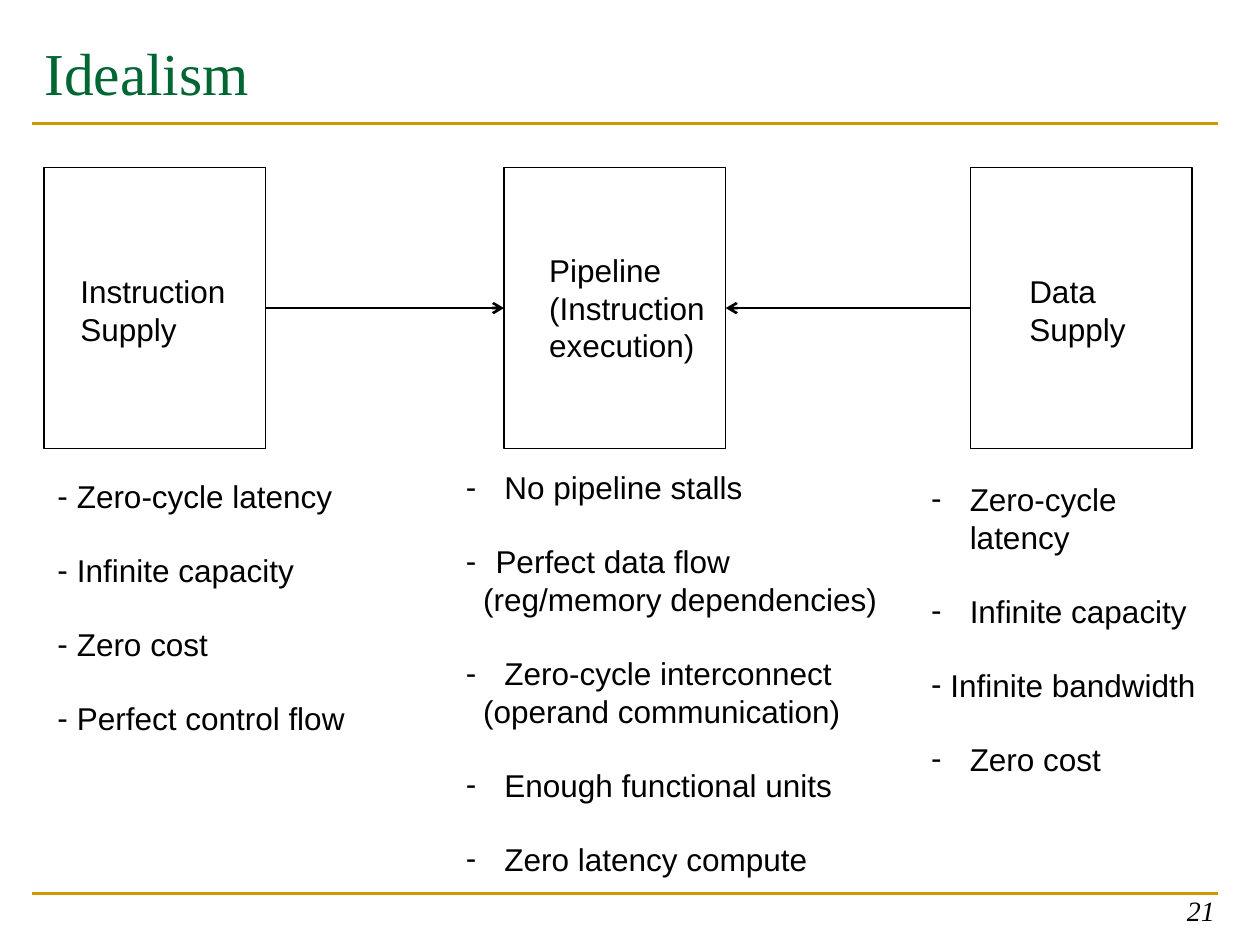
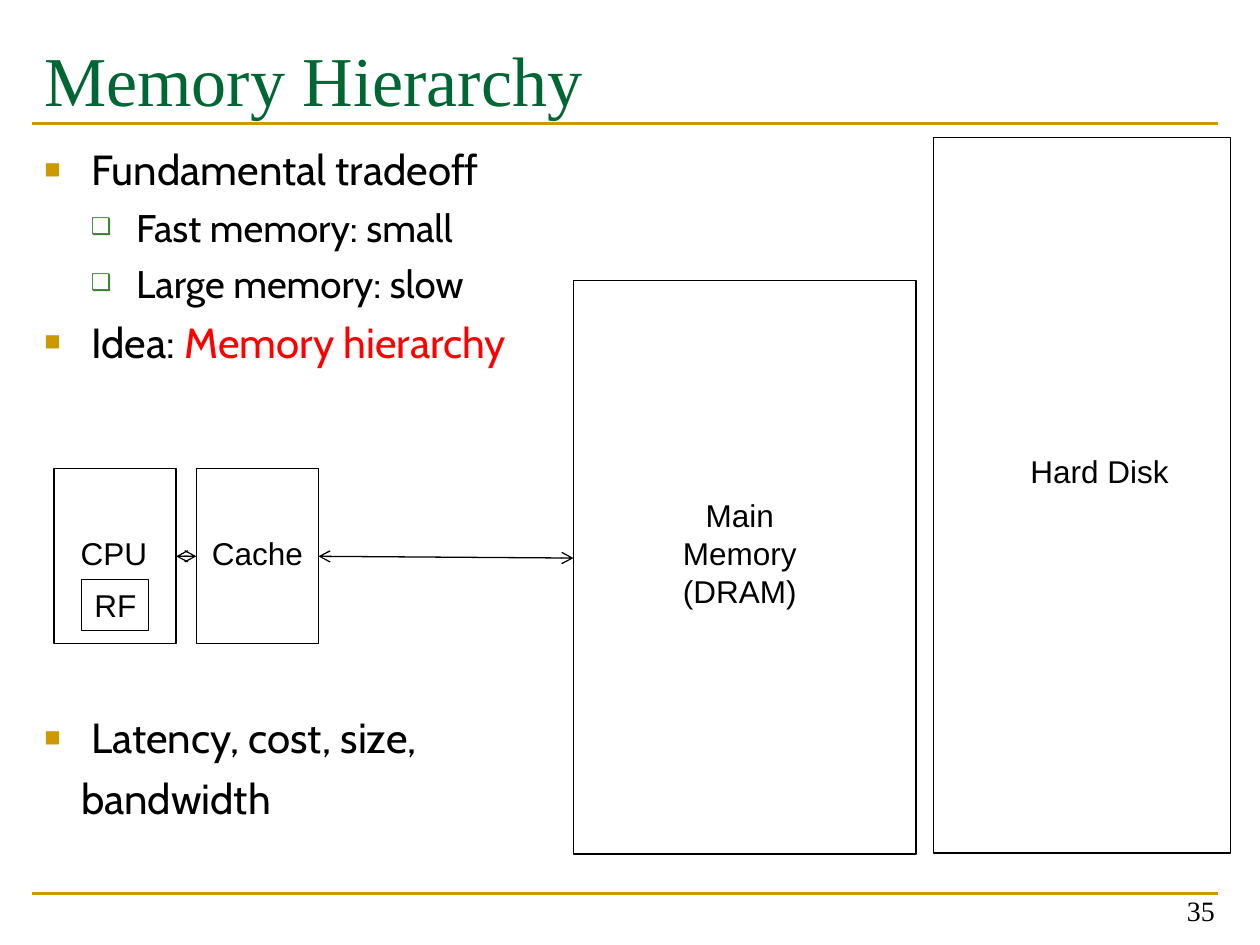
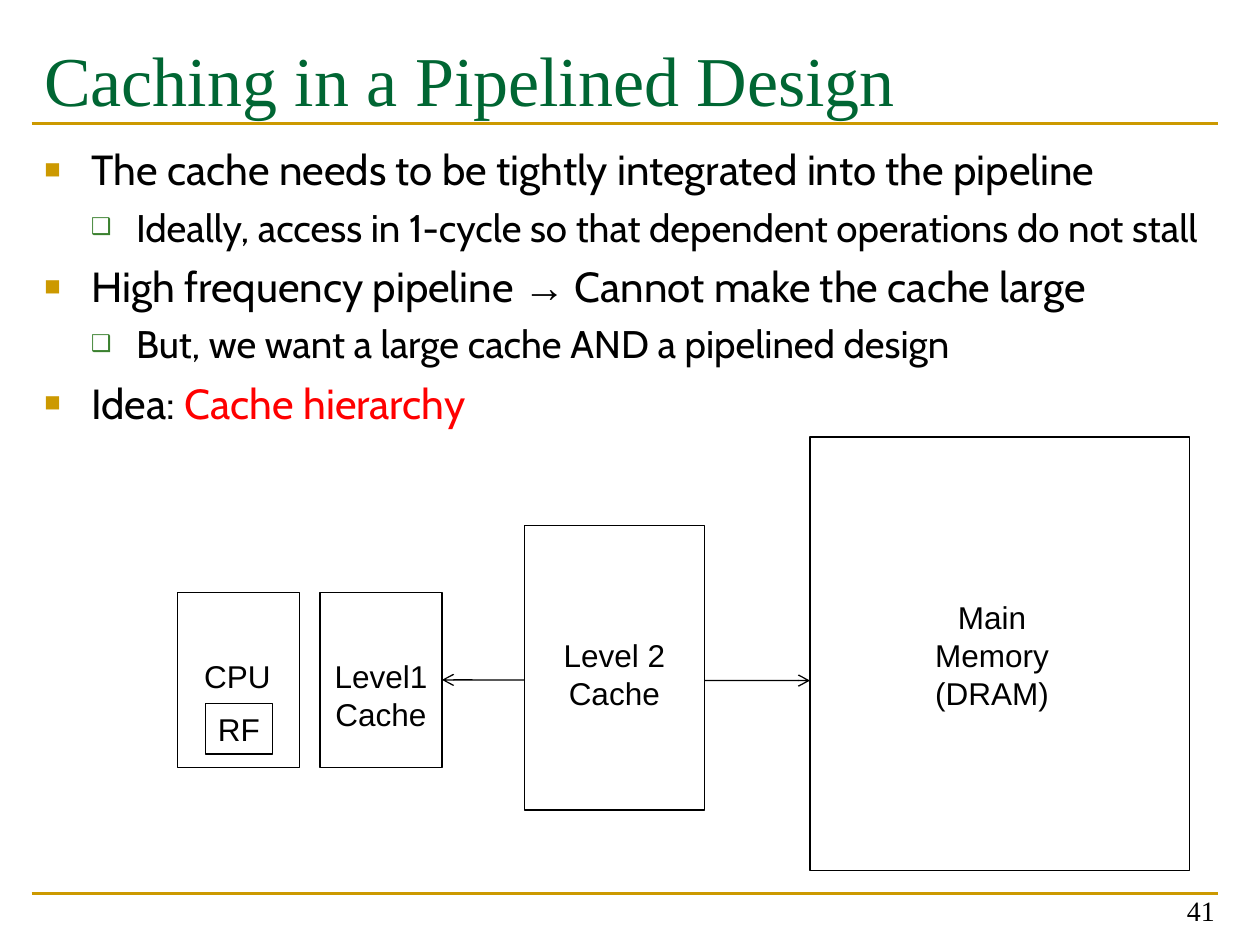
import collections

import pptx
import pptx.dml.color
import pptx.enum.shapes
import pptx.enum.text
import pptx.oxml
import pptx.oxml.ns
import pptx.util

Cm = pptx.util.Cm
Pt = pptx.util.Pt
Align = pptx.enum.text.PP_ALIGN
Anchor = pptx.enum.text.MSO_ANCHOR
Box = collections.namedtuple("Box", "left top width height")
Bullet = collections.namedtuple("Bullet", "character color percent")
Level = collections.namedtuple("Level", "size before margin hanging bullet")

COLORS = {
    "title": "006633",
    "rule": "CC9900",
    "text": "000000",
    "accent": "FF0000",
    "sub_bullet": "3B812F",
    "paper": "FFFFFF",
}
TITLE_FONT, BODY_FONT, LABEL_FONT = "Times New Roman", "Cabin", "Arial"
TITLE_BOX = Box(0.64, 0.43, 23.93, 2.97)
BODY_BOX = Box(0.64, 2.77, 23.93, 14.43)
NUMBER_BOX = Box(18.82, 17.55, 5.92, 1.27)
RULE_TOPS = (2.49, 18.01)
LEVELS = (
    Level(24, 6, 0.95, 0.95, Bullet("■", "rule", 65)),
    Level(22, 5.5, 1.85, 0.91, Bullet("❑", "sub_bullet", 60)),
)
DASH = Bullet("-", "text", 100)
LABEL_SIZE = 18
LINE_GAP = 20.7


def rgb(name):
    return pptx.dml.color.RGBColor.from_string(COLORS[name])


def lengths(box):
    return [Cm(value) for value in box]


def format_font(font, name, size, color="text"):
    font.name = name
    font.size = Pt(size)
    font.color.rgb = rgb(color)


def set_bullet(paragraph, bullet, margin, hanging):
    properties = paragraph._p.get_or_add_pPr()
    properties.set("marL", str(Cm(margin)))
    properties.set("indent", str(-Cm(hanging)))
    if bullet is None:
        elements = ["<a:buNone %s/>"]
    else:
        elements = [
            f'<a:buClr %s><a:srgbClr val="{COLORS[bullet.color]}"/></a:buClr>',
            f'<a:buSzPct %s val="{bullet.percent * 1000}"/>',
            f'<a:buFont %s typeface="{LABEL_FONT}"/>',
            f'<a:buChar %s char="{bullet.character}"/>',
        ]
    for element in elements:
        properties.append(pptx.oxml.parse_xml(element % pptx.oxml.ns.nsdecls("a")))


def add_text(slide, box, lines, align=Align.LEFT, name=LABEL_FONT, size=LABEL_SIZE):
    shape = slide.shapes.add_textbox(*lengths(box))
    frame = shape.text_frame
    frame.word_wrap = True
    if align == Align.CENTER:
        frame.margin_left = frame.margin_right = 0
    frame.text = "\n".join(lines)
    for paragraph in frame.paragraphs:
        paragraph.alignment = align
        for run in paragraph.runs:
            format_font(run.font, name, size)
    return frame


def add_line(slide, start, end, color="text", width=0.75):
    line = slide.shapes.add_connector(
        pptx.enum.shapes.MSO_CONNECTOR.STRAIGHT, *lengths(start + end)
    )
    line.line.color.rgb = rgb(color)
    line.line.width = Pt(width)
    line._element.spPr.append(
        pptx.oxml.parse_xml("<a:effectLst %s/>" % pptx.oxml.ns.nsdecls("a"))
    )
    return line


def add_arrow(slide, source, target, width=0.75, ends=("headEnd", "tailEnd")):
    origin = (0, 0) if hasattr(source[0], "shape_type") else source
    arrow = add_line(slide, origin, (0, 0), width=width)
    if origin is source:
        arrow.begin_x, arrow.begin_y = lengths(source)
    else:
        arrow.begin_connect(*source)
    arrow.end_connect(*target)
    outline = arrow.line._get_or_add_ln()
    for end in ends:
        outline.append(
            pptx.oxml.parse_xml(f'<a:{end} {pptx.oxml.ns.nsdecls("a")} type="arrow"/>')
        )


def add_rectangle(slide, box, fill=None):
    shape = slide.shapes.add_shape(
        pptx.enum.shapes.MSO_SHAPE.RECTANGLE, *lengths(box)
    )
    shape.shadow.inherit = False
    if fill:
        shape.fill.solid()
        shape.fill.fore_color.rgb = rgb(fill)
    else:
        shape.fill.background()
    shape.line.color.rgb = rgb("text")
    shape.line.width = Pt(0.75)
    return shape


def add_block(slide, box, lines, label, align=Align.CENTER, fill=None):
    shape = add_rectangle(slide, box, fill)
    left, top, width = label
    label_box = Box(box.left + left, box.top + top, width, 0.25 + 0.76 * len(lines))
    add_text(slide, label_box, lines, align)
    return shape


def add_processor(slide, left, top, cache_lines):
    cpu_box = Box(left, top, 2.46, 3.53)
    cpu = add_block(slide, cpu_box, ["CPU"], (0.28, 1.19, 1.85))
    add_block(slide, Box(left + 0.56, top + 2.24, 1.35, 1.02), ["RF"], (0, 0, 1.35))
    cache_box = cpu_box._replace(left=left + 2.87)
    cache = add_block(slide, cache_box, cache_lines, (0, 1.19, 2.46))
    return cpu, cache


def add_dash_list(slide, box, items):
    frame = add_text(slide, box, [text for text, margin, hanging in items])
    for index, (paragraph, item) in enumerate(zip(frame.paragraphs, items)):
        text, margin, hanging = item
        set_bullet(paragraph, DASH if hanging else None, margin, hanging)
        if index and hanging:
            paragraph.space_before = Pt(LINE_GAP)


def add_slide(presentation, layout, title, number, title_size=40):
    slide = presentation.slides.add_slide(presentation.slide_layouts[layout])
    for top in RULE_TOPS:
        add_line(slide, (0.64, top), (24.56, top), "rule", 1.5)
    shape = slide.shapes.title
    shape.left, shape.top, shape.width, shape.height = lengths(TITLE_BOX)
    frame = shape.text_frame
    frame.text = title
    frame.vertical_anchor = Anchor.TOP
    frame.margin_top = Cm(0.3)
    frame.auto_size = pptx.enum.text.MSO_AUTO_SIZE.NONE
    paragraph = frame.paragraphs[0]
    paragraph.alignment = Align.LEFT
    format_font(paragraph.runs[0].font, TITLE_FONT, title_size, "title")
    number_frame = add_text(slide, NUMBER_BOX, [number], Align.RIGHT, TITLE_FONT, 16)
    number_frame.vertical_anchor = Anchor.BOTTOM
    return slide, number_frame


def fill_body(slide, items):
    shape = slide.placeholders[1]
    shape.left, shape.top, shape.width, shape.height = lengths(BODY_BOX)
    frame = shape.text_frame
    frame.auto_size = pptx.enum.text.MSO_AUTO_SIZE.NONE
    frame.text = "\n".join([""] * len(items))
    for index, (paragraph, (depth, pieces)) in enumerate(zip(frame.paragraphs, items)):
        level = LEVELS[depth]
        paragraph.level = depth
        set_bullet(paragraph, level.bullet, level.margin, level.hanging)
        paragraph.space_before = Pt(level.before if index else 0)
        for text, name, color in pieces:
            run = paragraph.add_run()
            run.text = text
            format_font(run.font, name, level.size, color)
    return frame


def plain(text):
    return (text, BODY_FONT, "text")


def accent(text):
    return (text, BODY_FONT, "accent")


def build_idealism(presentation):
    slide, number_frame = add_slide(presentation, 5, "Idealism", "21", 34)
    number_frame.paragraphs[0].runs[0].font.italic = True
    stages = [
        (0.89, ["Instruction", "Supply"], (0.48, 1.98, 3.7)),
        (10.16, ["Pipeline", "(Instruction", "execution)"], (0.66, 1.55, 3.8)),
        (19.56, ["Data", "Supply"], (0.94, 1.98, 2.6)),
    ]
    instruction, pipeline, data = [
        add_block(slide, Box(left, 3.38, 4.47, 5.66), lines, label, Align.LEFT)
        for left, lines, label in stages
    ]
    add_arrow(slide, (instruction, 3), (pipeline, 1), 1.5, ("tailEnd",))
    add_arrow(slide, (data, 1), (pipeline, 3), 1.5, ("tailEnd",))
    add_dash_list(slide, Box(0.91, 9.5, 6.8, 7.87), [
        ("Zero-cycle latency", 0.39, 0.39),
        ("Infinite capacity", 0.39, 0.39),
        ("Zero cost", 0.39, 0.39),
        ("Perfect control flow", 0.39, 0.39),
    ])
    add_dash_list(slide, Box(9.14, 9.32, 9.1, 9), [
        ("No pipeline stalls", 0.78, 0.78),
        ("Perfect data flow", 0.6, 0.6),
        ("(reg/memory dependencies)", 0.35, 0),
        ("Zero-cycle interconnect", 0.78, 0.78),
        ("(operand communication)", 0.35, 0),
        ("Enough functional units", 0.78, 0.78),
        ("Zero latency compute", 0.78, 0.78),
    ])
    add_dash_list(slide, Box(18.52, 9.55, 6.05, 7.87), [
        ("Zero-cycle latency", 0.78, 0.78),
        ("Infinite capacity", 0.78, 0.78),
        ("Infinite bandwidth", 0.39, 0.39),
        ("Zero cost", 0.78, 0.78),
    ])


def build_memory_hierarchy(presentation):
    slide, _ = add_slide(presentation, 1, "Memory Hierarchy", "35")
    body = fill_body(slide, [
        (0, [plain("Fundamental tradeoff")]),
        (1, [plain("Fast memory: small")]),
        (1, [plain("Large memory: slow")]),
        (0, [plain("Idea: "), accent("Memory hierarchy")]),
        (0, [plain("Latency, cost, size,")]),
        (0, [plain("bandwidth")]),
    ])
    latency, bandwidth = body.paragraphs[-2:]
    latency.space_before = Pt(197)
    properties = bandwidth._p.get_or_add_pPr()
    for tag in ("a:buClr", "a:buSzPct", "a:buFont", "a:buChar"):
        properties.remove(properties.find(pptx.oxml.ns.qn(tag)))
    set_bullet(bandwidth, None, 0.74, 0)
    cpu, cache = add_processor(slide, 1.09, 9.45, ["Cache"])
    add_block(slide, Box(11.56, 5.66, 6.91, 11.56),
              ["Main", "Memory", "(DRAM)"], (1.96, 4.22, 2.79))
    add_block(slide, Box(18.82, 2.77, 5.99, 14.43), ["Hard Disk"], (1.68, 6.22, 3.33))
    add_arrow(slide, (11.56, 11.25), (cache, 3))
    add_arrow(slide, (cache, 1), (cpu, 3))


def build_pipelined_caching(presentation):
    slide, _ = add_slide(presentation, 1, "Caching in a Pipelined Design", "41")
    fill_body(slide, [
        (0, [plain("The cache needs to be tightly integrated into the pipeline")]),
        (1, [plain("Ideally, access in 1-cycle so that dependent operations do not stall")]),
        (0, [plain("High frequency pipeline "), ("→", LABEL_FONT, "text"),
             plain(" Cannot make the cache large")]),
        (1, [plain("But, we want a large cache AND a pipelined design")]),
        (0, [plain("Idea: "), accent("Cache hierarchy")]),
    ])
    _, level_one = add_processor(slide, 3.58, 11.94, ["Level1", "Cache"])
    add_block(slide, Box(16.33, 8.81, 7.65, 8.74),
              ["Main", "Memory", "(DRAM)"], (2.26, 3.12, 2.82))
    add_arrow(slide, (16.33, 13.72), (level_one, 3))
    add_block(slide, Box(10.57, 10.59, 3.63, 5.74),
              ["Level 2", "Cache"], (0, 2.11, 3.63), fill="paper")


def main():
    presentation = pptx.Presentation()
    presentation.slide_width = Cm(25.4)
    presentation.slide_height = Cm(19.05)
    build_idealism(presentation)
    build_memory_hierarchy(presentation)
    build_pipelined_caching(presentation)
    presentation.save("out.pptx")


if __name__ == "__main__":
    main()
